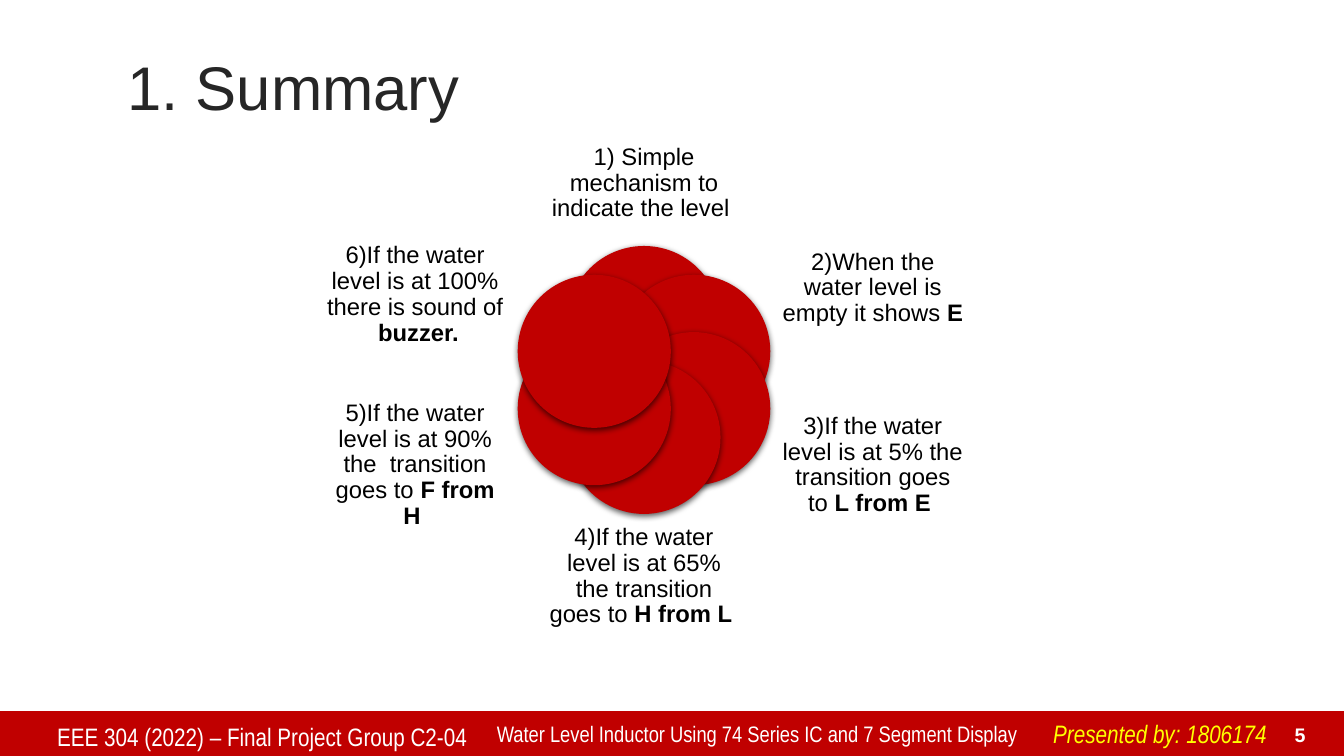
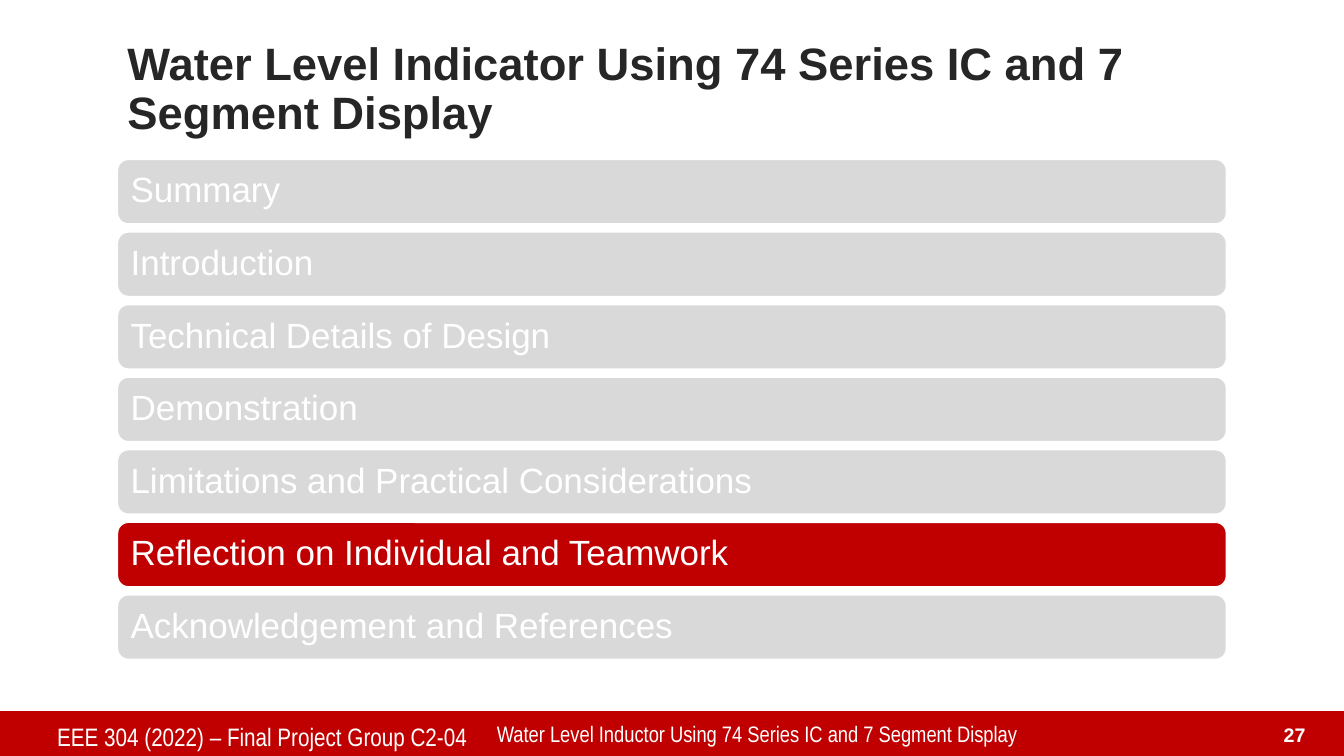
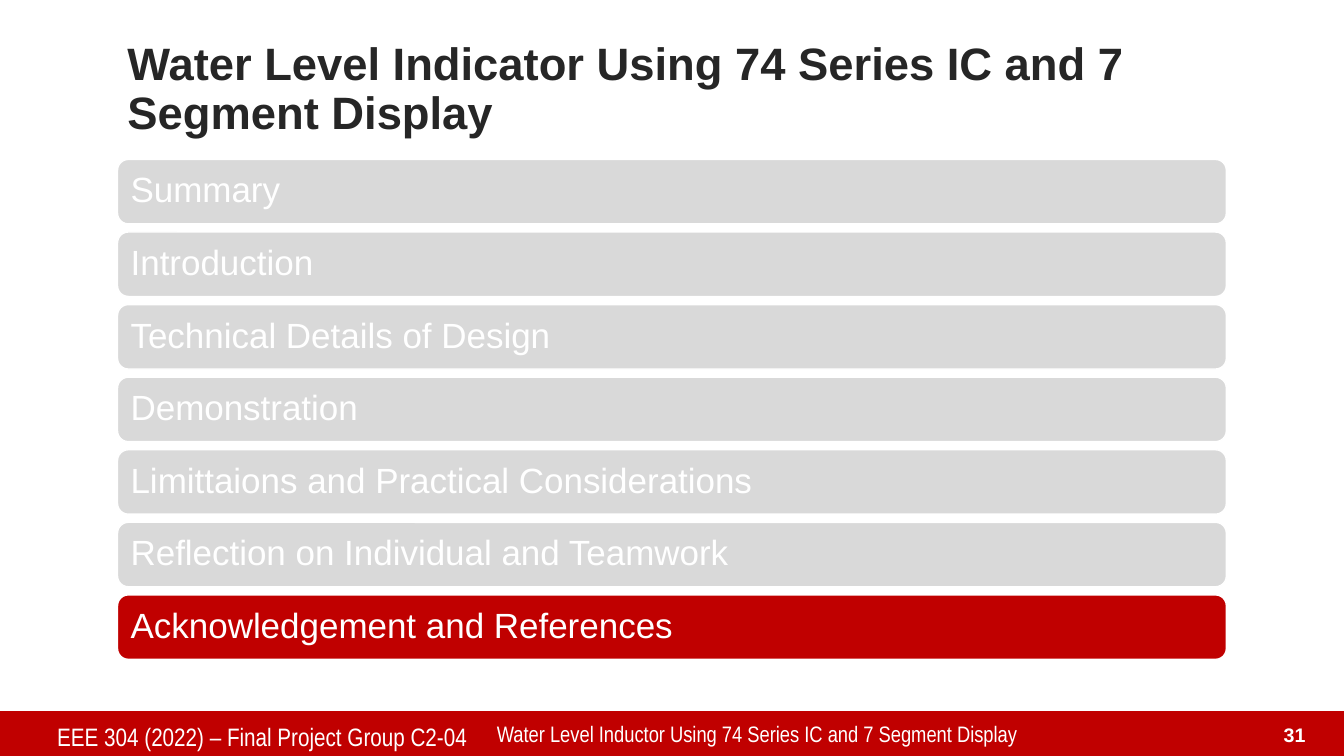
"""Build three slides of a water level indicator project presentation."""
from math import cos, radians, sin

from lxml.etree import SubElement
from pptx import Presentation
from pptx.dml.color import RGBColor
from pptx.enum.shapes import MSO_SHAPE
from pptx.enum.text import MSO_ANCHOR, PP_ALIGN
from pptx.oxml.ns import qn
from pptx.util import Pt

RED, GREY, WHITE, BLACK = "C00000", "D9D9D9", "FFFFFF", "000000"
TITLE_COLOR, YELLOW = "262626", "FFFF00"
SANS, NARROW = "Arial", "Arial Narrow"
WIDTH, HEIGHT = 960, 540

COURSE = "EEE 304 (2022) – Final Project Group C2-04"
TOPIC = "Water Level Inductor Using 74 Series IC and 7 Segment Display"
AGENDA_TITLE = "Water Level Indicator Using 74 Series IC and 7 Segment Display"

SIDE_WIDTH, LEFT_X, RIGHT_X = 129.6, 231.8, 558.7
UPPER_Y, LOWER_Y = 164.9, 286.6
LABELS = [
    ("1) Simple mechanism to indicate the level ", "", (391.7, 93.6, 136.8, 74.9)),
    ("2)When the water level is empty it shows ", "E ", (RIGHT_X, UPPER_Y, SIDE_WIDTH, 82.1)),
    ("3)If the water level is at 5% the transition goes to ", "L from E ",
     (RIGHT_X, LOWER_Y, SIDE_WIDTH, 91.4)),
    ("4)If the water level is at 65% the transition goes to ", "H from L ",
     (391.7, 374.4, 136.8, 74.9)),
    ("5)If the water level is at 90% the  transition goes to ", "F from H ",
     (LEFT_X, LOWER_Y, SIDE_WIDTH, 91.4)),
    ("6)If the water level is at 100% there is sound of ", " buzzer.",
     (LEFT_X, UPPER_Y, SIDE_WIDTH, 91.4)),
]
RING_X, RING_Y, RING_RADIUS, DISC = 460, 271.4, 41, 109.4

AGENDA = ["Summary", "Introduction", "Technical Details of Design", "Demonstration",
          "Limitations and Practical Considerations",
          "Reflection on Individual and Teamwork", "Acknowledgement and References"]
LATER_AGENDA = AGENDA[:4] + ["Limittaions and Practical Considerations"] + AGENDA[5:]
AGENDA_SLIDES = [("27", AGENDA, 5), ("31", LATER_AGENDA, 6)]
BAR_X, BAR_Y, BAR_WIDTH, BAR_HEIGHT, BAR_PITCH = 84, 113.9, 792, 46, 51.84


def color(value):
    return RGBColor.from_string(value)


def write(shape, text, size, fill, font=SANS, bold=False, italic=False, strong="",
          align=PP_ALIGN.LEFT, anchor=MSO_ANCHOR.TOP, spacing=1.0, wrap=True):
    frame = shape.text_frame
    frame.word_wrap = wrap
    frame.vertical_anchor = anchor
    para = frame.paragraphs[0]
    para.alignment = align
    para.line_spacing = spacing
    para.font.name = font
    para.font.size = Pt(size)
    para.font.color.rgb = color(fill)
    para.font.italic = italic
    if not strong:
        para.font.bold = bold
    para.add_run().text = text
    if strong:
        span = para.add_run()
        span.text = strong
        span.font.bold = True
    return frame


def add_text(page, place, text, size, fill, **style):
    box = page.shapes.add_textbox(*map(Pt, place))
    return write(box, text, size, fill, **style)


def add_shape(page, kind, place, fill, line=None):
    shape = page.shapes.add_shape(kind, *map(Pt, place))
    shape.shadow.inherit = False
    shape.fill.solid()
    shape.fill.fore_color.rgb = color(fill)
    if line:
        shape.line.color.rgb = color(line)
        shape.line.width = Pt(1)
    else:
        shape.line.fill.background()
    return shape


def add_shadow(shape):
    effects = shape.element.spPr.find(qn("a:effectLst"))
    shadow = SubElement(effects, qn("a:outerShdw"), blurRad=str(Pt(4.5)),
                        dist=str(Pt(1.5)), dir="5400000", algn="ctr", rotWithShape="0")
    shade = SubElement(shadow, qn("a:srgbClr"), val=BLACK)
    SubElement(shade, qn("a:alpha"), val="63000")


def add_page(deck, title, title_size, number, bold=False):
    page = deck.slides.add_slide(deck.slide_layouts[6])
    add_shape(page, MSO_SHAPE.RECTANGLE, (0, 508, WIDTH, 32), RED)
    add_text(page, (84, 36, 792, 57.6), title, title_size, TITLE_COLOR, bold=bold,
             anchor=MSO_ANCHOR.MIDDLE, spacing=0.9)
    add_text(page, (33.8, 511.9, 312.5, 28), COURSE, 18, WHITE, font=NARROW)
    add_text(page, (347.8, 510.5, 397.4, 26), TOPIC, 16, WHITE, font=NARROW)
    add_text(page, (898.6, 511.9, 41, 24.5), number, 14, WHITE, bold=True,
             align=PP_ALIGN.RIGHT, anchor=MSO_ANCHOR.BOTTOM)
    return page


def add_summary(deck):
    page = add_page(deck, "1. Summary", 44, "5")
    add_text(page, (745.2, 509.8, 169.2, 28.8), "Presented by: 1806174", 18, YELLOW,
             font=NARROW, italic=True, wrap=False)
    for index, (text, strong, place) in enumerate(LABELS):
        angle = radians(index * 360 / len(LABELS))
        left = RING_X + RING_RADIUS * sin(angle) - DISC / 2
        top = RING_Y - RING_RADIUS * cos(angle) - DISC / 2
        add_shadow(add_shape(page, MSO_SHAPE.OVAL, (left, top, DISC, DISC), RED))
        frame = add_text(page, place, text, 17, BLACK, strong=strong, spacing=0.9,
                         align=PP_ALIGN.CENTER, anchor=MSO_ANCHOR.MIDDLE)
        frame.margin_left = frame.margin_right = 0
        frame.margin_top = frame.margin_bottom = 0


def add_agenda(deck, number, topics, current):
    page = add_page(deck, AGENDA_TITLE, 32.4, number, bold=True)
    for index, topic in enumerate(topics):
        place = (BAR_X, BAR_Y + index * BAR_PITCH, BAR_WIDTH, BAR_HEIGHT)
        bar = add_shape(page, MSO_SHAPE.ROUNDED_RECTANGLE, place,
                        RED if index == current else GREY, WHITE)
        frame = write(bar, topic, 25, WHITE, anchor=MSO_ANCHOR.MIDDLE, spacing=0.9)
        frame.margin_left = Pt(7.2)


def main():
    deck = Presentation()
    deck.slide_width, deck.slide_height = Pt(WIDTH), Pt(HEIGHT)
    add_summary(deck)
    for number, topics, current in AGENDA_SLIDES:
        add_agenda(deck, number, topics, current)
    deck.save("out.pptx")


if __name__ == "__main__":
    main()
